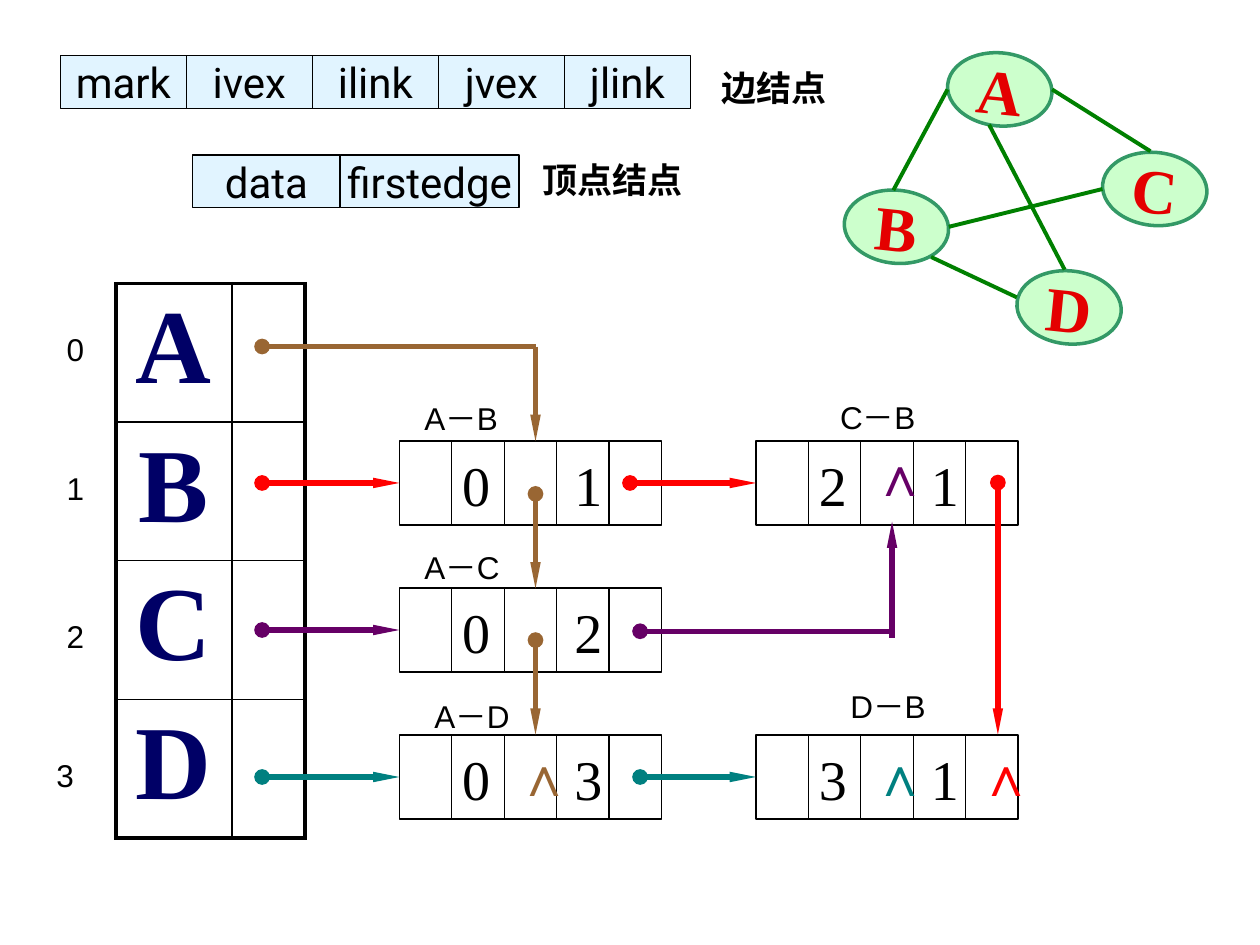
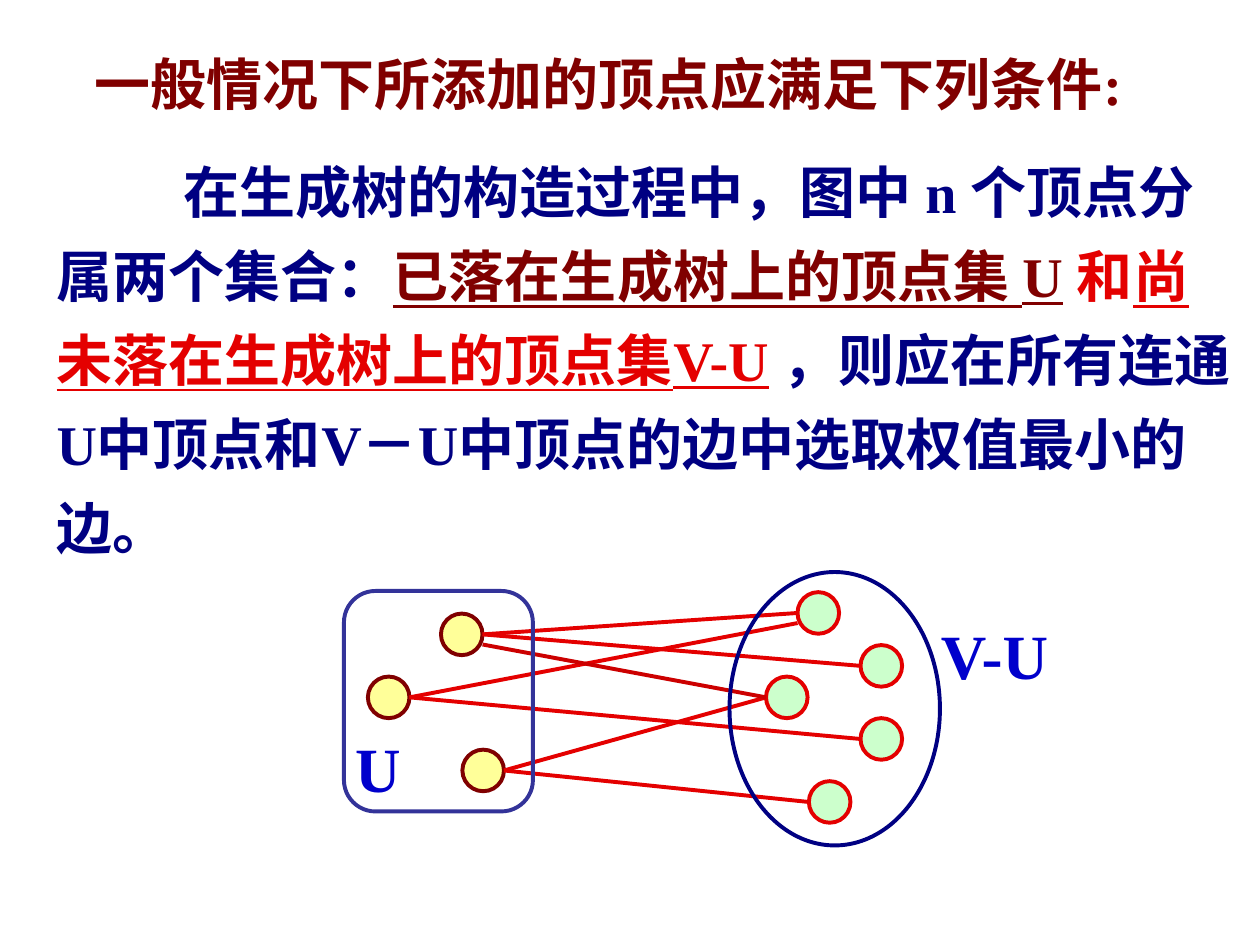
"""Build two slides: an adjacency multilist and the vertex sets of a spanning tree."""
from lxml import etree
from pptx import Presentation
from pptx.dml.color import RGBColor
from pptx.enum.shapes import MSO_CONNECTOR, MSO_SHAPE
from pptx.enum.text import MSO_ANCHOR as ANCHOR, PP_ALIGN as ALIGN
from pptx.oxml.ns import qn
from pptx.util import Inches, Pt

BLACK = RGBColor(0x00, 0x00, 0x00)
NAVY = RGBColor(0x00, 0x00, 0x82)
DARK_NAVY = RGBColor(0x00, 0x00, 0x66)
BLUE = RGBColor(0x00, 0x00, 0xCC)
INDIGO = RGBColor(0x33, 0x33, 0x99)
MAROON = RGBColor(0x80, 0x00, 0x00)
CRIMSON = RGBColor(0xE4, 0x00, 0x00)
DARK_RED = RGBColor(0xCC, 0x00, 0x00)
RED = RGBColor(0xFF, 0x00, 0x00)
BROWN = RGBColor(0x99, 0x66, 0x33)
PURPLE = RGBColor(0x66, 0x00, 0x66)
TEAL = RGBColor(0x00, 0x80, 0x80)
GREEN = RGBColor(0x00, 0x80, 0x00)
SEA_GREEN = RGBColor(0x33, 0x99, 0x66)
MINT = RGBColor(0xCC, 0xFF, 0xCC)
YELLOW = RGBColor(0xFF, 0xFF, 0x99)
PALE_BLUE = RGBColor(0xE1, 0xF4, 0xFF)

SERIF, SANS, ROBOTO = "Times New Roman", "Arial", "Roboto"


def fmt(font, size, color, bold=False):
    return {"name": font, "size": Pt(size), "color": color, "bold": bold}


VERTEX = fmt(SERIF, 36, CRIMSON, True)
HEAD_CELL = fmt(SERIF, 60, DARK_NAVY, True)
INDEX = fmt(SERIF, 32, BLACK)
FIELD = fmt(ROBOTO, 24, BLACK)
LABEL = fmt(SANS, 18, BLACK)
CAPTION = fmt(ROBOTO, 20, BLACK, True)
SET_NAME = fmt(SERIF, 36, BLUE, True)
BODY = fmt(SERIF, 32, NAVY, True)

GRAPH_W, GRAPH_H, GRAPH_TILT = 0.83, 0.58, 5.6
GRAPH = {"A": (7.52, 0.42), "B": (6.7, 1.51), "C": (8.75, 1.21), "D": (8.07, 2.15)}
GRAPH_EDGES = [
    (7.39, 2.04, 8.07, 2.36), (7.09, 1.51, 7.52, 0.71), (8.75, 1.5, 7.53, 1.8),
    (7.85, 0.99, 8.45, 2.14), (8.35, 0.71, 9.13, 1.2),
]
RECORDS = [
    (0.48, 0.44, [("mark", 1), ("ivex", 1), ("ilink", 1), ("jvex", 1), ("jlink", 1)]),
    (1.53, 1.23, [("data", 1.17), ("firstedge", 1.42)]),
]
RECORD_H = 0.42
HEAD_X, HEAD_Y, HEAD_ROW, HEAD_COLS = 0.92, 2.25, 1.1, (0.92, 0.58)

NODE_COLS, NODE_TOP, NODE_STEP = (3.17, 6), 3.5, 3.5 / 3
NODE_W, NODE_H, NODE_FIELDS = 2.08, 2 / 3, 5
EDGE_NODES = {
    "AB": (0, 0, "0\t1"), "CB": (1, 0, "2\t1"), "AC": (0, 1, "0\t2"),
    "AD": (0, 2, "0\t3"), "DB": (1, 2, "3\t1"),
}
LINKS_TO_NODES = [
    (2.08, "AB", RED), (5, "CB", RED), (2.08, "AC", PURPLE),
    (2.08, "AD", TEAL), (5.08, "DB", TEAL),
]
LINKS = [
    (2.08, 2.75, 4.25, 2.75, BROWN, True, False),
    (4.25, 2.75, 4.25, 3.5, BROWN, False, True),
    (4.25, 3.92, 4.25, 4.67, BROWN, True, True),
    (4.25, 5.08, 4.25, 5.83, BROWN, True, True),
    (7.92, 3.83, 7.92, 5.83, RED, True, True),
    (5.08, 5.01, 7.08, 5.01, PURPLE, True, False),
    (7.08, 5.06, 7.08, 4.14, PURPLE, False, True),
]
NULLS = [(6.83, 3.45, PURPLE), (6.83, 5.83, TEAL), (7.67, 5.83, RED), (4, 5.83, BROWN)]
LABELS = [
    ("0", 0.43, 2.57), ("1", 0.43, 3.67), ("2", 0.43, 4.85), ("3", 0.35, 5.95),
    ("A－B", 3.27, 3.12), ("C－B", 6.57, 3.11), ("A－C", 3.27, 4.3),
    ("A－D", 3.35, 5.48), ("D－B", 6.65, 5.4),
]
CAPTIONS = [("边结点", 5.63, 0.48), ("顶点结点", 4.21, 1.21)]

TITLE = [("一般情况下所添加的顶点应满足下列条件:", MAROON, False)]
CONDITION = [
    ("在生成树的构造过程中，图中 n 个顶点分属两个集合：", NAVY, False),
    ("已落在生成树上的顶点集 U", MAROON, True),
    (" ", NAVY, False),
    ("和", CRIMSON, False),
    ("尚未落在生成树上的顶点集V-U", CRIMSON, True),
    (" ，则应在所有连通U中顶点和V－U中顶点的边中选取权值最小的边。", NAVY, False),
]
DOT = 0.33
IN_TREE = [(3.5, 4.87), (2.92, 5.37), (3.67, 5.95)]
OUT_OF_TREE = [(6.33, 4.7), (6.83, 5.12), (6.42, 6.2), (6.08, 5.37), (6.83, 5.7)]
CROSSING = [
    (0, 0, 0, 0, CRIMSON), (1, 4, 0, 0, CRIMSON), (2, 2, 0, 0, CRIMSON),
    (2, 3, 0, 0, CRIMSON), (0, 1, 0, 0, CRIMSON), (1, 0, 0, 0.08, CRIMSON),
    (0, 3, 0.08, 0, DARK_RED),
]


def add_run(p, text, style):
    r = p.add_run()
    r.text = text
    for name, value in style.items():
        if name == "color":
            r.font.color.rgb = value
        else:
            setattr(r.font, name, value)


def text_box(slide, x, y, w, h, text, style):
    tf = slide.shapes.add_textbox(Inches(x), Inches(y), Inches(w), Inches(h)).text_frame
    tf.word_wrap = True
    p = tf.paragraphs[0]
    if text:
        add_run(p, text, style)
    return p


def rich_text(slide, x, y, w, h, runs, indent):
    p = text_box(slide, x, y, w, h, "", BODY)
    p.line_spacing = 1.25
    pPr = p._p.get_or_add_pPr()
    pPr.set("marL", "0")
    pPr.set("indent", str(Inches(indent)))
    for text, color, underline in runs:
        add_run(p, text, BODY | {"color": color, "underline": underline})


def shape(slide, kind, x, y, w, h, fill, line, width, text="", style=None):
    sp = slide.shapes.add_shape(kind, Inches(x), Inches(y), Inches(w), Inches(h))
    sp.shadow.inherit = False
    if fill is None:
        sp.fill.background()
    else:
        sp.fill.solid()
        sp.fill.fore_color.rgb = fill
    sp.line.color.rgb = line
    sp.line.width = Pt(width)
    if text:
        tf = sp.text_frame
        tf.word_wrap = False
        tf.vertical_anchor = ANCHOR.MIDDLE
        tf.paragraphs[0].alignment = ALIGN.CENTER
        add_run(tf.paragraphs[0], text, style)
    return sp


def line(slide, x1, y1, x2, y2, color, width, dot=False, arrow=False):
    cn = slide.shapes.add_connector(
        MSO_CONNECTOR.STRAIGHT, Inches(x1), Inches(y1), Inches(x2), Inches(y2))
    cn.line.color.rgb = color
    cn.line.width = Pt(width)
    ln = cn.line._get_or_add_ln()
    if dot:
        etree.SubElement(ln, qn("a:headEnd"), type="oval", w="med", len="med")
    if arrow:
        etree.SubElement(ln, qn("a:tailEnd"), type="triangle", w="sm", len="lg")
    etree.SubElement(cn._element.spPr, qn("a:effectLst"))
    return cn


def border(cell, widths):
    tcPr = cell._tc.get_or_add_tcPr()
    for side, width in widths.items():
        ln = etree.SubElement(tcPr, qn("a:ln" + side), w=str(Pt(width)))
        fill = etree.SubElement(ln, qn("a:solidFill"))
        etree.SubElement(fill, qn("a:srgbClr"), val=str(BLACK))


def head_table(slide, names):
    n = len(names)
    table = slide.shapes.add_table(
        n, 2, Inches(HEAD_X), Inches(HEAD_Y),
        Inches(sum(HEAD_COLS)), Inches(HEAD_ROW * n)).table
    table.first_row = table.horz_banding = False
    for c, width in enumerate(HEAD_COLS):
        table.columns[c].width = Inches(width)
    for r, name in enumerate(names):
        table.rows[r].height = Inches(HEAD_ROW)
        for c in range(2):
            cell = table.cell(r, c)
            outer = {"L": c == 0, "R": c == 1, "T": r == 0, "B": r == n - 1}
            border(cell, {side: 2.25 if out else 1 for side, out in outer.items()})
            cell.fill.background()
        p = table.cell(r, 0).text_frame.paragraphs[0]
        p.alignment = ALIGN.CENTER
        add_run(p, name, HEAD_CELL)


def edge_node(slide, col, row, text):
    x, y = NODE_COLS[col], NODE_TOP + row * NODE_STEP
    sp = shape(slide, MSO_SHAPE.RECTANGLE, x, y, NODE_W, NODE_H, None, BLACK, 0.75)
    for i in range(1, NODE_FIELDS):
        cx = x + i * NODE_W / NODE_FIELDS
        line(slide, cx, y, cx, y + NODE_H, BLACK, 0.75)
    p = text_box(slide, x + 0.4, y + 0.03, 1.4, 0.63, "", INDEX)
    tabs = etree.SubElement(p._p.get_or_add_pPr(), qn("a:tabLst"))
    etree.SubElement(tabs, qn("a:tab"), pos=str(Inches(0.89)), algn="l")
    add_run(p, text, INDEX)
    return sp


def multilist_slide(slide):
    for name, (x, y) in GRAPH.items():
        sp = shape(slide, MSO_SHAPE.OVAL, x, y, GRAPH_W, GRAPH_H,
                   MINT, SEA_GREEN, 2, name, VERTEX)
        sp.rotation = GRAPH_TILT
    for ends in GRAPH_EDGES:
        line(slide, *ends, GREEN, 2.25)
    head_table(slide, list(GRAPH))
    nodes = {name: edge_node(slide, *spec_) for name, spec_ in EDGE_NODES.items()}
    for x, name, color in LINKS_TO_NODES:
        col, row, _ = EDGE_NODES[name]
        y = NODE_TOP + row * NODE_STEP + NODE_H / 2
        cn = line(slide, x, y, NODE_COLS[col], y, color, 3, True, True)
        cn.end_connect(nodes[name], 1)
    for *ends, color, dot, arrow in LINKS:
        line(slide, *ends, color, 3, dot, arrow)
    for x, y, color in NULLS:
        text_box(slide, x, y, 0.42, 0.63, "∧", fmt(SERIF, 32, color, True))
    for x, y, fields in RECORDS:
        for name, width in fields:
            shape(slide, MSO_SHAPE.RECTANGLE, x, y, width, RECORD_H,
                  PALE_BLUE, BLACK, 0.75, name, FIELD)
            x += width
    for text, x, y in LABELS:
        text_box(slide, x, y, 0.36 if len(text) == 1 else 1.1, 0.4, text, LABEL)
    for text, x, y in CAPTIONS:
        text_box(slide, x, y, 1.5, 0.43, text, CAPTION)


def vertex_sets_slide(slide):
    rich_text(slide, 0.35, 1.07, 9.55, 3.43, CONDITION, 1.01)
    rich_text(slide, 0.25, 0.21, 9.53, 0.77, TITLE, 0.4)
    for dots, fill, edge in ((IN_TREE, YELLOW, MAROON), (OUT_OF_TREE, MINT, CRIMSON)):
        for x, y in dots:
            shape(slide, MSO_SHAPE.OVAL, x, y, DOT, DOT, fill, edge, 2.25)
    for u, v, u_drop, v_drop, color in CROSSING:
        (ux, uy), (vx, vy) = IN_TREE[u], OUT_OF_TREE[v]
        line(slide, ux + DOT, uy + DOT / 2 + u_drop, vx, vy + DOT / 2 + v_drop, color, 2.25)
    shape(slide, MSO_SHAPE.ROUNDED_RECTANGLE, 2.73, 4.69, 1.5, 1.75, None, INDIGO, 2.25)
    text_box(slide, 2.72, 5.74, 0.6, 0.7, "U", SET_NAME)
    shape(slide, MSO_SHAPE.OVAL, 5.79, 4.54, 1.67, 2.17, None, NAVY, 2.25)
    text_box(slide, 7.37, 4.84, 1.17, 0.7, "V-U", SET_NAME)


def main():
    prs = Presentation()
    prs.slide_width, prs.slide_height = Inches(10), Inches(7.5)
    for build in (multilist_slide, vertex_sets_slide):
        build(prs.slides.add_slide(prs.slide_layouts[6]))
    prs.save("out.pptx")


if __name__ == "__main__":
    main()
